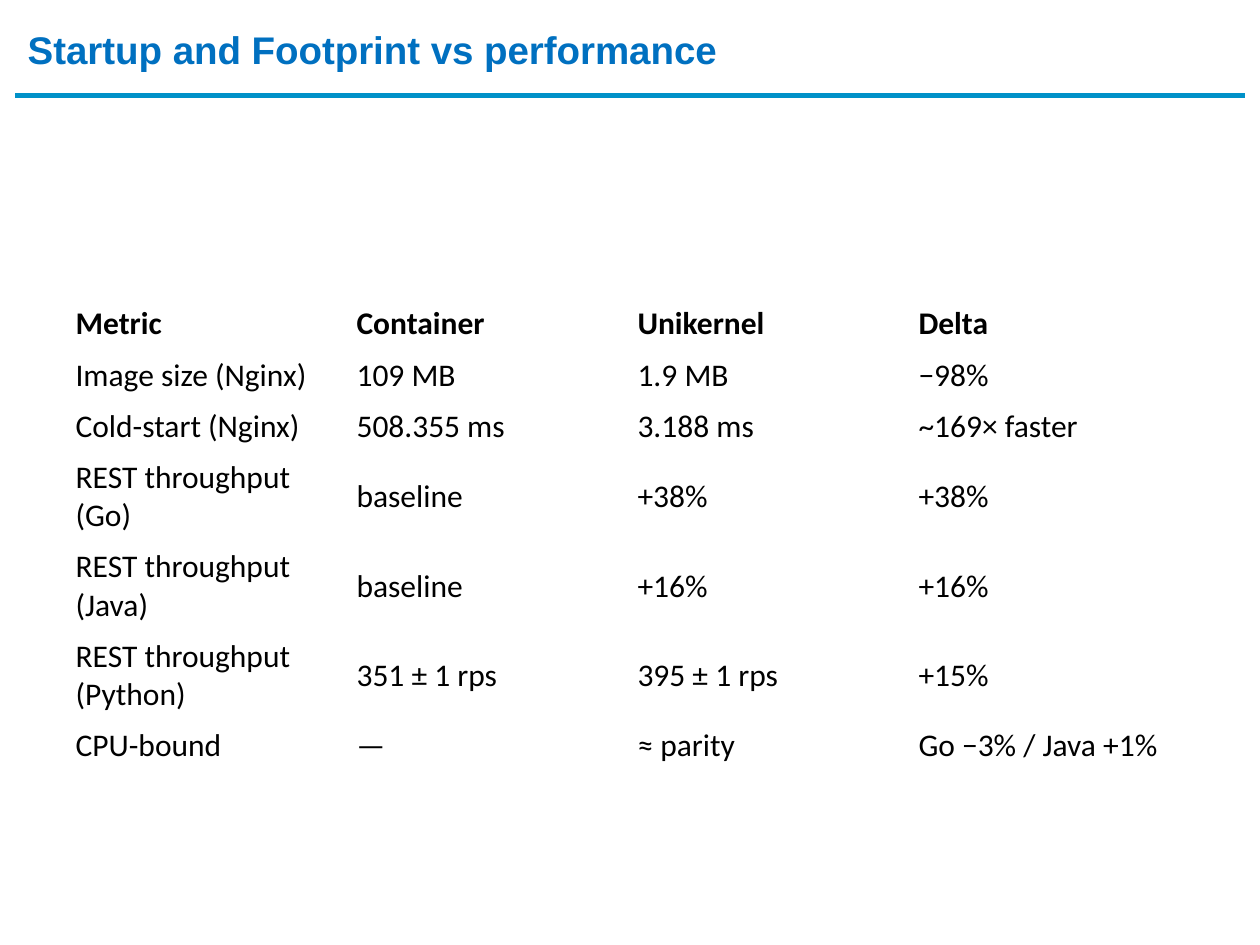
from lxml.etree import SubElement
from pptx import Presentation
from pptx.dml.color import RGBColor
from pptx.enum.shapes import MSO_CONNECTOR
from pptx.enum.text import MSO_ANCHOR, PP_ALIGN
from pptx.oxml.ns import qn
from pptx.util import Inches, Pt

WHITE = RGBColor(0xFF, 0xFF, 0xFF)
BLACK = RGBColor(0x00, 0x00, 0x00)
TITLE_BLUE = RGBColor(0x00, 0x70, 0xC0)
RULE_BLUE = RGBColor(0x00, 0x91, 0xC8)

METRICS = [
    ["Metric", "Container", "Unikernel", "Delta"],
    ["Image size (Nginx)", "109 MB", "1.9 MB", "−98%\u00a0"],
    ["Cold-start (Nginx)", "508.355 ms", "3.188 ms", "~169× faster\u00a0"],
    ["REST throughput (Go)", "baseline", "+38%", "+38%\u00a0"],
    ["REST throughput (Java)", "baseline", "+16%", "+16%\u00a0"],
    ["REST throughput (Python)", "351 ± 1 rps", "395 ± 1 rps", "+15%\u00a0"],
    ["CPU-bound", "—", "≈ parity", "Go −3% / Java +1%\u00a0"],
]
COLUMN_WIDTH = 2.23
ROW_HEIGHT = 0.4
TWO_LINE_ROW_HEIGHT = 0.7


def write_text(frame, text, font, size, color, bold=False):
    paragraph = frame.paragraphs[0]
    paragraph.alignment = PP_ALIGN.LEFT
    span = paragraph.add_run()
    span.text = text
    span.font.name = font
    span.font.size = Pt(size)
    span.font.bold = bold
    span.font.color.rgb = color


def add_title(page, text):
    title = page.shapes.title
    title.left, title.top = Inches(0.12), Inches(0.13)
    title.width, title.height = Inches(9.12), Inches(0.63)
    frame = title.text_frame
    frame.vertical_anchor = MSO_ANCHOR.TOP
    frame.margin_top = Inches(0.08)
    write_text(frame, text, font="Arial", size=22, color=TITLE_BLUE, bold=True)


def add_title_rule(page):
    y = Inches(0.76)
    rule = page.shapes.add_connector(
        MSO_CONNECTOR.STRAIGHT, Inches(0.12), y, Inches(9.88), y)
    rule.line.color.rgb = RULE_BLUE
    rule.line.width = Pt(3)
    SubElement(rule._element.spPr, qn("a:effectLst"))


def add_metrics_table(page, rows):
    heights = [TWO_LINE_ROW_HEIGHT if row[0].startswith("REST") else ROW_HEIGHT
               for row in rows]
    column_count = len(rows[0])
    table = page.shapes.add_table(
        len(rows), column_count, Inches(0.5), Inches(2.37),
        Inches(COLUMN_WIDTH * column_count), Inches(sum(heights))).table
    table.first_row = False
    table.horz_banding = False
    for column in table.columns:
        column.width = Inches(COLUMN_WIDTH)
    for row_index, (texts, height) in enumerate(zip(rows, heights)):
        table.rows[row_index].height = Inches(height)
        for column_index, text in enumerate(texts):
            cell = table.cell(row_index, column_index)
            cell.fill.solid()
            cell.fill.fore_color.rgb = WHITE
            cell.vertical_anchor = MSO_ANCHOR.MIDDLE
            write_text(cell.text_frame, text, font="Calibri", size=18,
                       color=BLACK, bold=row_index == 0)


def main():
    deck = Presentation()
    deck.slide_width, deck.slide_height = Inches(10), Inches(7.5)
    page = deck.slides.add_slide(deck.slide_layouts.get_by_name("Title Only"))
    add_title_rule(page)
    add_title(page, "Startup and Footprint vs performance")
    add_metrics_table(page, METRICS)
    deck.save("out.pptx")


if __name__ == "__main__":
    main()
